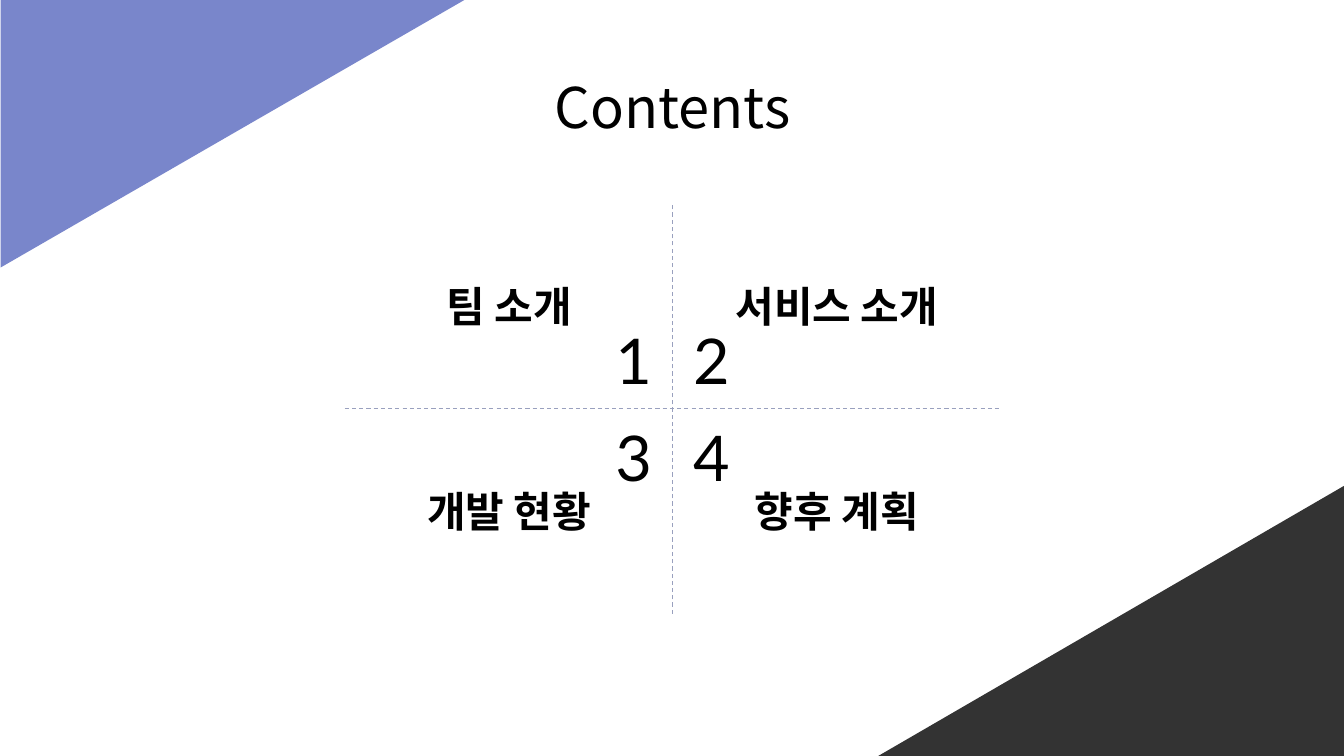
from lxml.etree import SubElement
from pptx import Presentation
from pptx.dml.color import RGBColor
from pptx.enum.dml import MSO_LINE
from pptx.enum.shapes import MSO_CONNECTOR, MSO_SHAPE
from pptx.enum.text import MSO_ANCHOR, MSO_AUTO_SIZE, PP_ALIGN
from pptx.oxml.ns import qn
from pptx.util import Inches, Pt

KOREAN_FONT = "Noto Sans CJK KR"
CENTER_X, CENTER_Y = 6.67, 4.05
NUMBER_WIDTH, NUMBER_HEIGHT = 0.77, 0.96
LABEL_HEIGHT = 0.71


def color(value):
    return RGBColor.from_string(value)


def write(shape, text, anchor, font_name, size, bold=False):
    """Fill a text shape with one centred black line."""
    frame = shape.text_frame
    frame_format = {
        "word_wrap": True,
        "auto_size": MSO_AUTO_SIZE.SHAPE_TO_FIT_TEXT,
        "vertical_anchor": anchor,
    }
    for side in ("left", "top", "right", "bottom"):
        frame_format[f"margin_{side}"] = Inches(0.1)
    for name, value in frame_format.items():
        setattr(frame, name, value)

    paragraph = frame.paragraphs[0]
    paragraph.alignment = PP_ALIGN.CENTER
    paragraph.line_spacing = 1.0
    run = paragraph.add_run()
    run.text = text
    for name, value in {"name": font_name, "size": Pt(size), "bold": bold}.items():
        setattr(run.font, name, value)
    run.font.color.rgb = color("000000")
    SubElement(run.font._element, qn("a:ea"), typeface=font_name)


presentation = Presentation()
presentation.slide_width = Inches(13.33)
presentation.slide_height = Inches(7.5)
slide = presentation.slides.add_slide(presentation.slide_layouts[5])
shapes = slide.shapes

# Corner triangles
corners = [
    (0.98, -0.98, 2.66, 4.61, 90, "7986CB"),
    (9.68, 3.85, 2.68, 4.62, 270, "333333"),
]
for left, top, width, height, rotation, fill in corners:
    corner = shapes.add_shape(
        MSO_SHAPE.ISOSCELES_TRIANGLE,
        Inches(left), Inches(top), Inches(width), Inches(height),
    )
    corner.adjustments[0] = 0
    corner.rotation = rotation
    corner.shadow.inherit = False
    corner.fill.solid()
    corner.fill.fore_color.rgb = color(fill)
    corner.line.fill.background()

# Title
title = shapes.title
title.left, title.top = Inches(4.69), Inches(0.61)
title.width, title.height = Inches(3.96), Inches(0.88)
write(title, "Contents", MSO_ANCHOR.MIDDLE, KOREAN_FONT, 40)

# Dashed cross
cross_lines = [
    (3.42, CENTER_Y, 9.91, CENTER_Y),
    (CENTER_X, 6.09, CENTER_X, 2.01),
]
for ends in cross_lines:
    line = shapes.add_connector(MSO_CONNECTOR.STRAIGHT, *map(Inches, ends))
    line.line.color.rgb = color("99A0BE")
    line.line.width = Pt(0.75)
    line.line.dash_style = MSO_LINE.DASH
    SubElement(line._element.spPr, qn("a:effectLst"))

# Numbered quadrants: label, label centre, label width
quadrants = [
    ("팀 소개", 5.05, 1.85),
    ("서비스 소개", 8.3, 2.38),
    ("개발 현황", 5.05, 2.38),
    ("향후 계획", 8.3, 2.38),
]
for index, (label_text, label_center, label_width) in enumerate(quadrants):
    row, column = divmod(index, 2)
    number = shapes.add_textbox(
        Inches(CENTER_X + (column - 1) * NUMBER_WIDTH),
        Inches(CENTER_Y + (row - 1) * NUMBER_HEIGHT),
        Inches(NUMBER_WIDTH), Inches(NUMBER_HEIGHT),
    )
    write(number, str(index + 1), MSO_ANCHOR.TOP, "Lato", 45)
    label = shapes.add_textbox(
        Inches(label_center - label_width / 2), Inches((2.68, 4.71)[row]),
        Inches(label_width), Inches(LABEL_HEIGHT),
    )
    write(label, label_text, MSO_ANCHOR.MIDDLE, KOREAN_FONT, 30, bold=True)

presentation.save("out.pptx")
